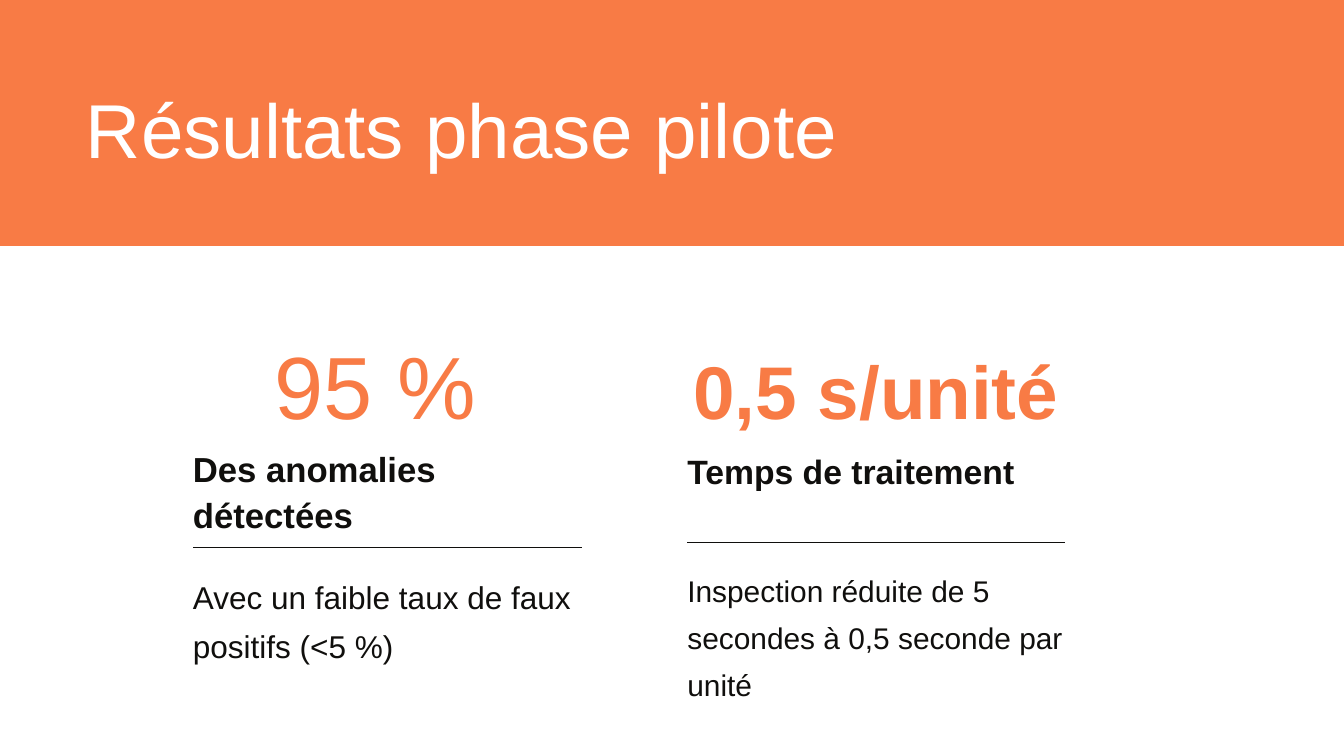
from dataclasses import dataclass

from lxml.etree import SubElement
from pptx import Presentation
from pptx.dml.color import RGBColor
from pptx.enum.shapes import MSO_CONNECTOR, MSO_SHAPE
from pptx.enum.text import MSO_AUTO_SIZE, PP_ALIGN
from pptx.oxml.ns import qn
from pptx.slide import Slide
from pptx.util import Cm, Pt

ORANGE = "F87B45"
INK = "100F0D"
WHITE = "FFFFFF"


@dataclass(frozen=True)
class Passage:
    """A text with its vertical place in centimetres and its style."""

    text: str
    top: float
    height: float
    size: float
    color: str
    spacing: float
    bold: bool = False
    align: PP_ALIGN = PP_ALIGN.LEFT


@dataclass(frozen=True)
class Result:
    """One column: its figure, label, rule and detail."""

    left: float
    width: float
    passages: tuple[Passage, ...]
    rule_top: float
    rule_weight: float


HEADING = Passage("Résultats phase pilote", 2.41, 3.78, 81.8, WHITE, 1.2)

RESULTS = (
    Result(
        left=7.29,
        width=14.7,
        passages=(
            Passage("95 % ", 11.71, 4.27, 94.6, ORANGE, 1.2, align=PP_ALIGN.CENTER),
            Passage("Des anomalies détectées", 16.79, 3.33, 37.2, INK, 1.1, bold=True),
            Passage("Avec un faible taux de faux positifs (<5 %)", 21.41, 4.7, 33.8, INK, 1.3),
        ),
        rule_top=20.7,
        rule_weight=1.13,
    ),
    Result(
        left=25.98,
        width=14.27,
        passages=(
            Passage("0,5 s/unité", 12.37, 3.76, 80, ORANGE, 1.2, bold=True, align=PP_ALIGN.CENTER),
            Passage("Temps de traitement", 16.89, 1.55, 36.1, INK, 1.1, bold=True),
            Passage(
                "Inspection réduite de 5 secondes à 0,5 seconde par unité",
                21.26, 4.93, 32, INK, 1.3,
            ),
        ),
        rule_top=20.5,
        rule_weight=0.75,
    ),
)


def rgb(color: str) -> RGBColor:
    """Turn a hex string into a colour."""
    return RGBColor.from_string(color)


def draw_banner(slide: Slide, width: float, height: float) -> None:
    """Fill the top of the slide with the accent colour."""
    banner = slide.shapes.add_shape(MSO_SHAPE.RECTANGLE, 0, 0, Cm(width), Cm(height))
    banner.shadow.inherit = False
    banner.fill.solid()
    banner.fill.fore_color.rgb = rgb(ORANGE)
    banner.line.fill.background()


def draw_passage(slide: Slide, passage: Passage, left: float, width: float) -> None:
    """Write a passage in a text box without margins."""
    box = slide.shapes.add_textbox(Cm(left), Cm(passage.top), Cm(width), Cm(passage.height))
    frame = box.text_frame
    frame.margin_left = frame.margin_top = frame.margin_right = frame.margin_bottom = 0
    frame.word_wrap = True
    frame.auto_size = MSO_AUTO_SIZE.SHAPE_TO_FIT_TEXT
    frame.text = passage.text
    paragraph = frame.paragraphs[0]
    paragraph.alignment = passage.align
    paragraph.line_spacing = passage.spacing
    font = paragraph.runs[0].font
    font.name = "Arial"
    font.size = Pt(passage.size)
    font.bold = passage.bold
    font.color.rgb = rgb(passage.color)


def draw_rule(slide: Slide, result: Result) -> None:
    """Draw the thin line between label and detail."""
    top = Cm(result.rule_top)
    right = Cm(result.left + result.width)
    rule = slide.shapes.add_connector(MSO_CONNECTOR.STRAIGHT, right, top, Cm(result.left), top)
    rule.line.color.rgb = rgb(INK)
    rule.line.width = Pt(result.rule_weight)
    SubElement(rule.element.spPr, qn("a:effectLst"))


def draw_result(slide: Slide, result: Result) -> None:
    """Draw one column of the results."""
    for passage in result.passages:
        draw_passage(slide, passage, result.left, result.width)
    draw_rule(slide, result)


def main() -> None:
    """Build the slide and save it."""
    presentation = Presentation()
    presentation.slide_width = Cm(50.8)
    presentation.slide_height = Cm(28.58)
    slide = presentation.slides.add_slide(presentation.slide_layouts[6])
    draw_banner(slide, 50.8, 9.3)
    for result in RESULTS:
        draw_result(slide, result)
    draw_passage(slide, HEADING, 3.25, 32.18)
    presentation.save("out.pptx")


if __name__ == "__main__":
    main()
